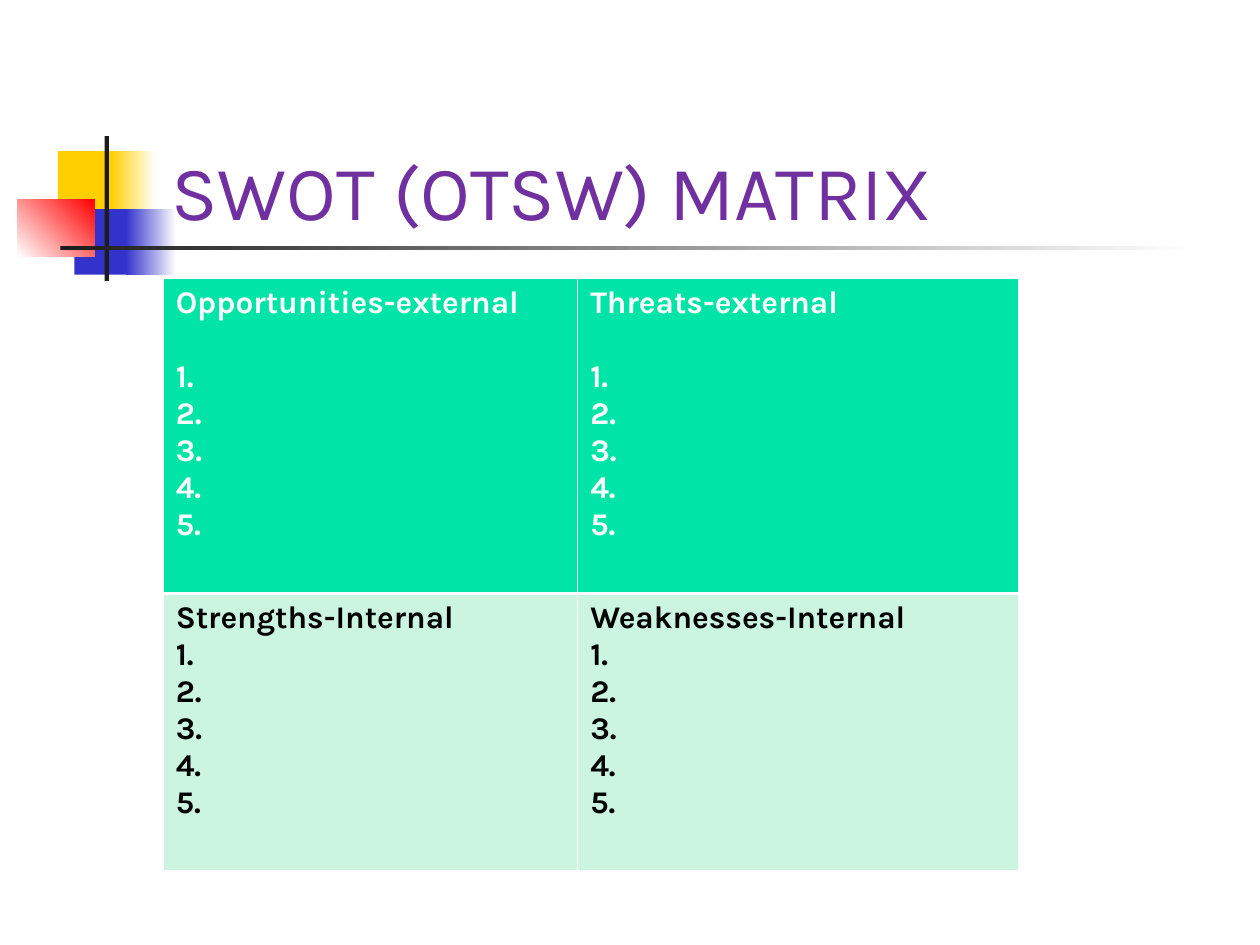
from dataclasses import dataclass

from lxml.etree import SubElement
from pptx import Presentation
from pptx.dml.color import RGBColor
from pptx.enum.shapes import MSO_SHAPE
from pptx.enum.text import MSO_ANCHOR, MSO_AUTO_SIZE, PP_ALIGN
from pptx.oxml.ns import qn
from pptx.util import Inches, Pt

COLUMNS, ROWS = 1000, 750


@dataclass(frozen=True)
class Theme:
    font: str = "Karla"
    title_size: float = 44
    body_size: float = 18
    heading_gap: float = 21
    title: str = "7030A0"
    yellow: str = "FFCF01"
    blue: str = "3333CC"
    red: str = "FF0000"
    dark: str = "1C1C1C"
    white: str = "FFFFFF"
    black: str = "000000"
    external: str = "00E4A8"
    internal: str = "CBF5E1"
    thin: float = 0.45
    thick: float = 1.47


@dataclass(frozen=True)
class Box:
    left: float
    top: float
    width: float
    height: float

    def inner(self, left, top, width, height):
        return Box(self.left + left, self.top + top, width, height)

    def lengths(self, deck):
        column, row = deck.slide_width / COLUMNS, deck.slide_height / ROWS
        return [round(n) for n in (self.left * column, self.top * row,
                                   self.width * column, self.height * row)]


THEME = Theme()


def apply(target, formats):
    for name, value in formats.items():
        setattr(target, name, value)


def style_font(font, size, color, bold):
    apply(font, {"name": THEME.font, "size": Pt(size), "bold": bold})
    font.color.rgb = RGBColor.from_string(color)


def add_block(deck, slide, box, colors, angle=0):
    block = slide.shapes.add_shape(MSO_SHAPE.RECTANGLE, *box.lengths(deck))
    block.shadow.inherit = False
    block.line.fill.background()
    if len(colors) == 1:
        block.fill.solid()
        block.fill.fore_color.rgb = RGBColor.from_string(colors[0])
        return
    block.fill.gradient()
    block.fill.gradient_angle = angle
    for stop, color in zip(block.fill.gradient_stops, colors):
        stop.color.rgb = RGBColor.from_string(color)


def add_emblem(deck, slide, box):
    blocks = [
        ((32, 12, 48, 52), [THEME.yellow], 0),
        ((74, 12, 36, 52), [THEME.yellow, THEME.white], 0),
        ((45, 58, 46, 52), [THEME.blue], 0),
        ((86, 58, 40, 52), [THEME.blue, THEME.white], 0),
        ((0, 50, 61, 46), [THEME.white, THEME.red], 45),
        ((69, 0, 3.5, box.height), [THEME.dark], 0),
        ((34, 87, box.width - 34, 3.5), [THEME.dark, THEME.white], 0),
    ]
    for place, colors, angle in blocks:
        add_block(deck, slide, box.inner(*place), colors, angle)


def add_title(deck, slide, box, wording):
    title = slide.shapes.title
    title.element.getparent().append(title.element)
    apply(title, dict(zip(("left", "top", "width", "height"), box.lengths(deck))))
    apply(title.text_frame, {
        "text": wording, "word_wrap": True, "auto_size": MSO_AUTO_SIZE.NONE,
        "vertical_anchor": MSO_ANCHOR.BOTTOM,
        "margin_left": Inches(0.1), "margin_right": Inches(0.1),
        "margin_top": Inches(0.05), "margin_bottom": Inches(0.05),
    })
    heading = title.text_frame.paragraphs[0]
    heading.alignment = PP_ALIGN.LEFT
    style_font(heading.runs[0].font, THEME.title_size, THEME.title, False)


def add_borders(cell, widths):
    properties = cell._tc.get_or_add_tcPr()
    for side, width in widths.items():
        border = SubElement(properties, qn(f"a:ln{side}"), w=str(Pt(width)))
        paint = SubElement(border, qn("a:solidFill"))
        SubElement(paint, qn("a:srgbClr"), val=THEME.white)


def fill_quadrant(cell, heading, fill, ink, gap):
    apply(cell, {
        "margin_left": Inches(0.1), "margin_right": Inches(0.1),
        "margin_top": Inches(0.05), "margin_bottom": Inches(0.05),
        "vertical_anchor": MSO_ANCHOR.TOP,
    })
    cell.fill.solid()
    cell.fill.fore_color.rgb = RGBColor.from_string(fill)
    cell.text = "\n".join([heading] + [f"{number}." for number in range(1, 6)])
    for line in cell.text_frame.paragraphs:
        line.alignment = PP_ALIGN.LEFT
        style_font(line.runs[0].font, THEME.body_size, ink, True)
    cell.text_frame.paragraphs[0].space_after = Pt(gap)


def add_matrix(deck, slide, box, column_widths, row_heights):
    bands = [
        (("Opportunities-external", "Threats-external"),
         THEME.external, THEME.white, THEME.heading_gap, THEME.thin, THEME.thick),
        (("Strengths-Internal", "Weaknesses-Internal"),
         THEME.internal, THEME.black, 0, THEME.thick, THEME.thin),
    ]
    matrix = slide.shapes.add_table(2, 2, *box.lengths(deck)).table
    apply(matrix, {"first_row": False, "horz_banding": False})
    for column, width in zip(matrix.columns, column_widths):
        column.width = round(deck.slide_width * width / COLUMNS)
    for row, height in zip(matrix.rows, row_heights):
        row.height = round(deck.slide_height * height / ROWS)
    for row, (headings, fill, ink, gap, top, bottom) in zip(matrix.rows, bands):
        for cell, heading in zip(row.cells, headings):
            add_borders(cell, {"L": THEME.thin, "R": THEME.thin, "T": top, "B": bottom})
            fill_quadrant(cell, heading, fill, ink, gap)


def main():
    deck = Presentation()
    apply(deck, {"slide_width": Inches(10), "slide_height": Inches(7.5)})
    slide = deck.slides.add_slide(deck.slide_layouts.get_by_name("Title Only"))
    add_emblem(deck, slide, Box(14, 108, 934, 115))
    add_title(deck, slide, Box(126, 67, 852, 125), "SWOT (OTSW) MATRIX")
    add_matrix(deck, slide, Box(129.5, 221, 679, 470), (329, 350), (250, 220))
    deck.save("out.pptx")


if __name__ == "__main__":
    main()
